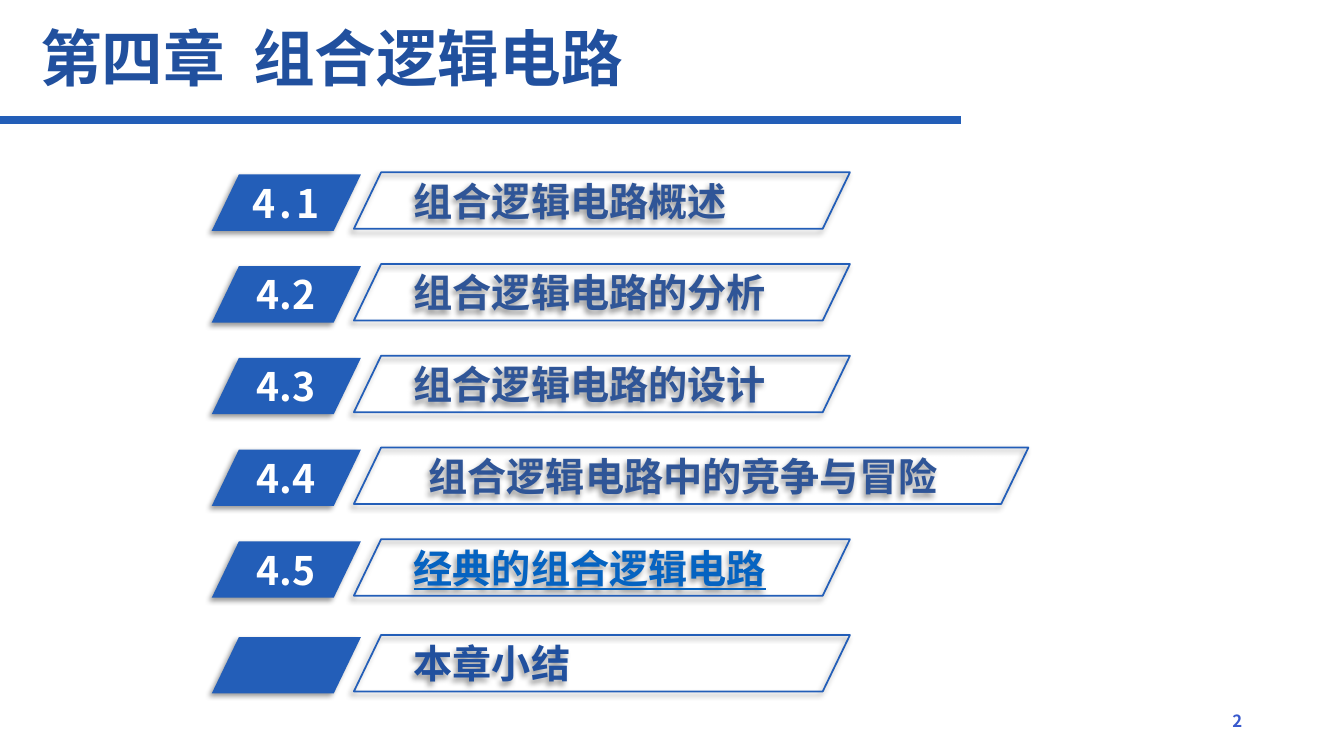
from lxml import etree
from pptx import Presentation
from pptx.dml.color import RGBColor
from pptx.enum.shapes import MSO_CONNECTOR, MSO_SHAPE
from pptx.enum.text import MSO_ANCHOR, PP_ALIGN
from pptx.oxml import parse_xml
from pptx.oxml.ns import nsdecls, qn
from pptx.util import Inches, Pt

PARALLELOGRAM = MSO_SHAPE.PARALLELOGRAM
STRAIGHT = MSO_CONNECTOR.STRAIGHT
MIDDLE = MSO_ANCHOR.MIDDLE
LEFT, CENTER, RIGHT = PP_ALIGN.LEFT, PP_ALIGN.CENTER, PP_ALIGN.RIGHT

FONT = "Noto Sans CJK SC"
COLORS = {
    "title": "21509E",
    "accent": "235EB8",
    "label": "2F5597",
    "link": "0563C1",
    "number": "3859CD",
    "white": "FFFFFF",
    "shadow": "000000",
}

SLIDE_WIDTH, SLIDE_HEIGHT = 13.33, 7.5
ROW_LEFT, ROW_TOP, ROW_PITCH, ROW_HEIGHT = 2.1, 1.73, 0.91, 0.56
SUMMARY_GAP = 0.04
BADGE_WIDTH, LABEL_OFFSET, LABEL_RISE = 1.48, 1.41, 0.02
LABEL_WIDTH, WIDE_LABEL_WIDTH = 4.92, 6.69

# badge, label, label colour, label width
SECTIONS = [
    ("4.1", "组合逻辑电路概述", "label", LABEL_WIDTH),
    ("4.2", "组合逻辑电路的分析", "label", LABEL_WIDTH),
    ("4.3", "组合逻辑电路的设计", "label", LABEL_WIDTH),
    ("4.4", "组合逻辑电路中的竞争与冒险", "label", WIDE_LABEL_WIDTH),
    ("4.5", "经典的组合逻辑电路", "link", LABEL_WIDTH),
    ("", "本章小结", "title", LABEL_WIDTH),
]


def rgb(name):
    return RGBColor.from_string(COLORS[name])


def format_run(run, size, color):
    run.font.size = Pt(size)
    run.font.bold = True
    run.font.color.rgb = rgb(color)
    run.font.name = FONT
    east_asian = etree.SubElement(run.font._element, qn("a:ea"))
    east_asian.set("typeface", FONT)


def space_out(run, points):
    run.font._element.set("spc", str(points * 100))


def write(shape, parts, size, color, alignment=LEFT):
    """Fill the shape with one paragraph made of a run per part."""
    frame = shape.text_frame
    frame.word_wrap = True
    frame.vertical_anchor = MIDDLE
    paragraph = frame.paragraphs[0]
    paragraph.alignment = alignment
    for part in parts:
        run = paragraph.add_run()
        run.text = part
        format_run(run, size, color)
    return paragraph.runs


def add_text(slide, box, parts, size, color, alignment=LEFT):
    textbox = slide.shapes.add_textbox(*map(Inches, box))
    return write(textbox, parts, size, color, alignment)


def add_shadow(shape):
    shape.shadow.inherit = False
    effects = shape._element.spPr.find(qn("a:effectLst"))
    effects.append(parse_xml(
        f'<a:outerShdw {nsdecls("a")} blurRad="{Pt(4)}" dist="{Pt(3)}" '
        f'dir="{135 * 60000}" algn="tr" rotWithShape="0">'
        f'<a:srgbClr val="{COLORS["shadow"]}"><a:alpha val="40000"/></a:srgbClr>'
        '</a:outerShdw>'))


def add_slanted_box(slide, box, filled):
    shape = slide.shapes.add_shape(PARALLELOGRAM, *map(Inches, box))
    shape.adjustments[0] = 0.482
    if filled:
        shape.fill.solid()
        shape.fill.fore_color.rgb = rgb("accent")
        shape.line.fill.background()
    else:
        shape.fill.background()
        shape.line.color.rgb = rgb("accent")
        shape.line.width = Pt(1.25)
    add_shadow(shape)
    return shape


def add_section(slide, left, top, badge_text, label_text, color, label_width):
    badge = add_slanted_box(slide, (left, top, BADGE_WIDTH, ROW_HEIGHT), True)
    if badge_text:
        runs = write(badge, [badge_text], 28, "white", CENTER)
        badge.text_frame.word_wrap = False
        if badge_text == SECTIONS[0][0]:
            space_out(runs[0], 3)

    label_box = (left + LABEL_OFFSET, top - LABEL_RISE, label_width, ROW_HEIGHT)
    label = add_slanted_box(slide, label_box, False)
    frame = label.text_frame
    frame.margin_left = frame.margin_right = Inches(0.07)
    frame.margin_top = frame.margin_bottom = Inches(0.04)
    runs = write(label, [label_text], 28, color)
    if color == "link":
        runs[0].font.underline = True


def add_header(slide, box):
    """Chapter title with the rule that runs in from the left edge."""
    left, top, width, height = box
    runs = add_text(slide, box, ["第四章", " ", "组合逻辑电路"], 44, "title")
    space_out(runs[1], 10)
    rule_y = Inches(top + height + 0.25)
    rule = slide.shapes.add_connector(
        STRAIGHT, 0, rule_y, Inches(left + width + 3.03), rule_y)
    rule.line.color.rgb = rgb("accent")
    rule.line.width = Pt(6)
    etree.SubElement(rule._element.spPr, qn("a:effectLst"))


def add_contents(slide, left, top):
    for index, section in enumerate(SECTIONS):
        gap = 0 if section[0] else SUMMARY_GAP
        add_section(slide, left, top + index * ROW_PITCH + gap, *section)


def main():
    presentation = Presentation()
    presentation.slide_width = Inches(SLIDE_WIDTH)
    presentation.slide_height = Inches(SLIDE_HEIGHT)
    slide = presentation.slides.add_slide(presentation.slide_layouts[6])
    add_header(slide, (0.3, 0.18, 6.2, 0.76))
    add_contents(slide, ROW_LEFT, ROW_TOP)
    add_text(slide, (9.42, 6.95, 3, 0.4), ["2"], 12, "number", RIGHT)
    presentation.save("out.pptx")


if __name__ == "__main__":
    main()
